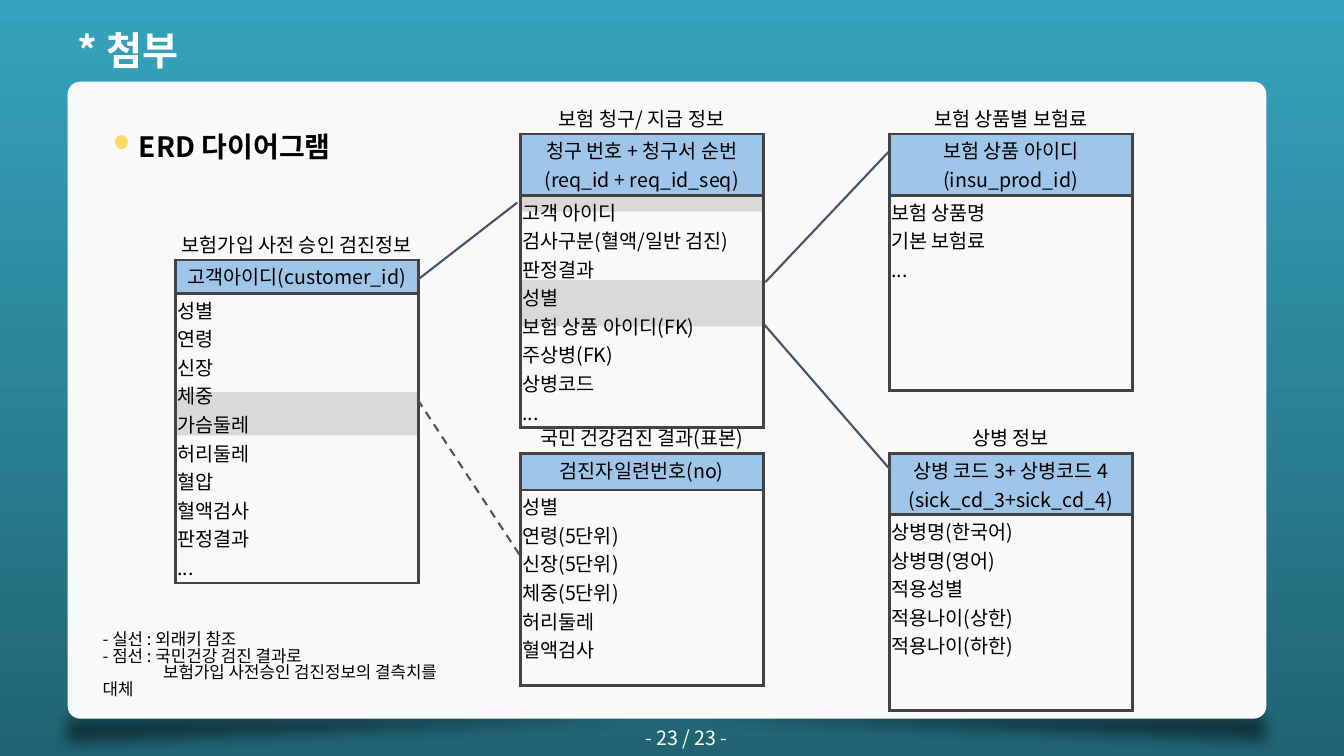
from dataclasses import dataclass
from typing import NamedTuple

from lxml.etree import SubElement
from pptx import Presentation
from pptx.dml.color import RGBColor
from pptx.enum.dml import MSO_LINE
from pptx.enum.shapes import MSO_CONNECTOR, MSO_SHAPE as SHAPE
from pptx.enum.text import MSO_ANCHOR as ANCHOR, PP_ALIGN as ALIGN
from pptx.oxml.ns import qn
from pptx.util import Inches, Pt


@dataclass(frozen=True)
class Theme:
    font: str = "Noto Sans CJK KR"
    bg_top: str = "35A3BD"
    bg_bottom: str = "206473"
    card: str = "F9F9F9"
    band: str = "D9D9D9"
    key: str = "9FC5E8"
    border: str = "434343"
    link: str = "44546A"
    bullet: str = "FFD966"
    black: str = "000000"
    white: str = "FFFFFF"
    title_size: int = 28
    heading_size: int = 20
    body_size: int = 14
    note_size: int = 12


class Box(NamedTuple):
    left: float
    top: float
    width: float
    height: float


class Link(NamedTuple):
    start: tuple[float, float]
    end: tuple[float, float]
    dashed: bool = False


@dataclass(frozen=True)
class Entity:
    left: float
    top: float
    name: str
    key: list[str]
    fields: list[str]
    key_height: float = 0.48


T = Theme()
ENTITY_WIDTH, NAME_HEIGHT, FIELDS_HEIGHT = 2.41, 0.48, 1.94
COL_1, COL_2, COL_3 = 1.74, 5.16, 8.82
ROW_1, ROW_2 = 0.85, 4.02

ENTITIES = [
    Entity(COL_1, 2.1, "보험가입 사전 승인 검진정보", ["고객아이디(customer_id)"],
           ["성별", "연령", "신장", "체중", "가슴둘레", "허리둘레", "혈압", "혈액검사",
            "판정결과", "..."], 0.33),
    Entity(COL_2, ROW_1, "보험 청구/ 지급 정보",
           ["청구 번호 + 청구서 순번", "(req_id + req_id_seq)"],
           ["고객 아이디", "검사구분(혈액/일반 검진)", "판정결과", "성별",
            "보험 상품 아이디(FK)", "주상병(FK)", "상병코드", "..."]),
    Entity(COL_2, ROW_2, "국민 건강검진 결과(표본)", ["검진자일련번호(no)"],
           ["성별", "연령(5단위)", "신장(5단위)", "체중(5단위)", "허리둘레", "혈액검사"], 0.36),
    Entity(COL_3, ROW_1, "보험 상품별 보험료", ["보험 상품 아이디", "(insu_prod_id)"],
           ["보험 상품명", "기본 보험료", "..."]),
    Entity(COL_3, ROW_2, "상병 정보", ["상병 코드 3+ 상병코드 4", "(sick_cd_3+sick_cd_4)"],
           ["상병명(한국어)", "상병명(영어)", "적용성별", "적용나이(상한)", "적용나이(하한)"]),
]
BANDS = [Box(COL_2, 2.78, 2.4, 0.46), Box(COL_2, 1.82, 2.4, 0.28), Box(COL_1, 3.89, 2.4, 0.43)]
LINKS = [
    Link((4.15, 2.77), (5.13, 2.01)),
    Link((5.15, 5.5), (4.14, 3.96), dashed=True),
    Link((7.59, 2.8), (8.81, 1.51)),
    Link((7.58, 3.22), (8.83, 4.66)),
]
NOTES = ["- 실선 : 외래키 참조", "- 점선 : 국민건강 검진 결과로",
         "보험가입 사전승인 검진정보의 결측치를 대체"]


def rgb(color: str) -> RGBColor:
    return RGBColor.from_string(color)


def write(tf, lines: list[str], size: int, color: str = T.black, bold: bool = False,
          align=ALIGN.LEFT, spacing: float = 1.0) -> None:
    """Fill a text frame with one paragraph per line."""
    for i, line in enumerate(lines):
        p = tf.paragraphs[0] if i == 0 else tf.add_paragraph()
        p.text = line
        p.alignment, p.line_spacing = align, spacing
        f = p.font
        f.size, f.bold, f.name = Pt(size), bold, T.font
        f.color.rgb = rgb(color)
        SubElement(f._element, qn("a:ea"), typeface=T.font)


def add_text(slide, box: Box, lines: list[str], size: int, anchor=ANCHOR.MIDDLE, **style):
    tf = slide.shapes.add_textbox(*map(Inches, box)).text_frame
    tf.word_wrap, tf.vertical_anchor = True, anchor
    write(tf, lines, size, **style)
    return tf


def add_block(slide, kind, box: Box, color: str):
    s = slide.shapes.add_shape(kind, *map(Inches, box))
    s.shadow.inherit = False
    s.fill.solid()
    s.fill.fore_color.rgb = rgb(color)
    s.line.fill.background()
    return s


def add_card_shadow(slide, box: Box, flips: list[str]) -> None:
    s = add_block(slide, SHAPE.RIGHT_TRIANGLE, box, T.black)
    sp_pr = s.element.spPr
    for flip in flips:
        sp_pr.xfrm.set(flip, "1")
    SubElement(next(sp_pr.iter(qn("a:srgbClr"))), qn("a:alpha"), val="51000")
    SubElement(sp_pr.find(qn("a:effectLst")), qn("a:softEdge"), rad=str(Inches(0.14)))


def set_borders(cell, visible: str) -> None:
    """Draw the sides named in visible (of L, R, T, B) and hide the others."""
    tc_pr = cell._tc.get_or_add_tcPr()
    for side in "LRTB":
        ln = SubElement(tc_pr, qn(f"a:ln{side}"), w=str(Pt(2.25)))
        if side in visible:
            fill = SubElement(ln, qn("a:solidFill"))
            SubElement(fill, qn("a:srgbClr"), val=T.border)
        else:
            SubElement(ln, qn("a:noFill"))


def add_entity(slide, entity: Entity) -> None:
    heights = [NAME_HEIGHT, entity.key_height, FIELDS_HEIGHT]
    box = Box(entity.left, entity.top, ENTITY_WIDTH, sum(heights))
    table = slide.shapes.add_table(3, 1, *map(Inches, box)).table
    table.first_row = table.horz_banding = False
    rows = [([entity.name], ALIGN.CENTER, ANCHOR.BOTTOM, "B"),
            (entity.key, ALIGN.CENTER, ANCHOR.TOP, "LRTB"),
            (entity.fields, ALIGN.LEFT, ANCHOR.TOP, "LRTB")]
    for i, (lines, align, anchor, borders) in enumerate(rows):
        table.rows[i].height = Inches(heights[i])
        cell = table.cell(i, 0)
        cell.margin_left = cell.margin_right = Inches(0.02)
        cell.margin_top = cell.margin_bottom = Inches(0.02)
        cell.vertical_anchor = anchor
        set_borders(cell, borders)
        cell.fill.background()
        write(cell.text_frame, lines, T.body_size, align=align)
    key_fill = table.cell(1, 0).fill
    key_fill.solid()
    key_fill.fore_color.rgb = rgb(T.key)


def add_link(slide, link: Link) -> None:
    c = slide.shapes.add_connector(MSO_CONNECTOR.STRAIGHT,
                                   *map(Inches, link.start + link.end))
    c.line.color.rgb = rgb(T.link)
    c.line.width = Pt(1.5)
    if link.dashed:
        c.line.dash_style = MSO_LINE.DASH
    SubElement(c._element.spPr, qn("a:effectLst"))


def set_background(slide) -> None:
    fill = slide.background.fill
    fill.gradient()
    fill.gradient_angle = 270
    for stop, color in zip(fill.gradient_stops, (T.bg_top, T.bg_bottom)):
        stop.color.rgb = rgb(color)


def set_title(slide, text: str) -> None:
    s = slide.shapes.title
    s.left, s.top, s.width, s.height = map(Inches, Box(0.67, 0.21, 7.52, 0.57))
    s.text_frame.vertical_anchor = ANCHOR.MIDDLE
    write(s.text_frame, [text], T.title_size, T.white, bold=True)


def main() -> None:
    prs = Presentation()
    prs.slide_width, prs.slide_height = Inches(13.33), Inches(7.5)
    slide = prs.slides.add_slide(prs.slide_layouts[5])
    set_background(slide)
    set_title(slide, "* 첨부")
    add_card_shadow(slide, Box(0.65, 6.98, 12.02, 0.5), ["flipH", "flipV"])
    add_card_shadow(slide, Box(0.54, 7, 12.02, 0.5), ["flipV"])
    card = add_block(slide, SHAPE.ROUNDED_RECTANGLE, Box(0.67, 0.81, 11.89, 6.32), T.card)
    card.adjustments[0] = 0.02
    for band in BANDS:
        add_block(slide, SHAPE.RECTANGLE, band, T.band)
    for entity in ENTITIES:
        add_entity(slide, entity)
    for link in LINKS:
        add_link(slide, link)
    notes = add_text(slide, Box(0.92, 6.22, 3.82, 0.71), NOTES, T.note_size,
                     ANCHOR.TOP, spacing=0.83)
    notes.paragraphs[-1]._p.pPr.set("indent", str(Inches(0.6)))
    add_block(slide, SHAPE.OVAL, Box(1.14, 1.34, 0.13, 0.14), T.bullet)
    add_text(slide, Box(1.28, 1.08, 4.68, 0.57), ["ERD 다이어그램"], T.heading_size,
             bold=True, spacing=1.5)
    page = add_text(slide, Box(6.18, 7.2, 1.26, 0.24), ["- 23 / 23 -"], T.body_size,
                    color=T.white, align=ALIGN.CENTER)
    page.margin_left = page.margin_right = page.margin_top = page.margin_bottom = 0
    prs.save("out.pptx")


if __name__ == "__main__":
    main()
